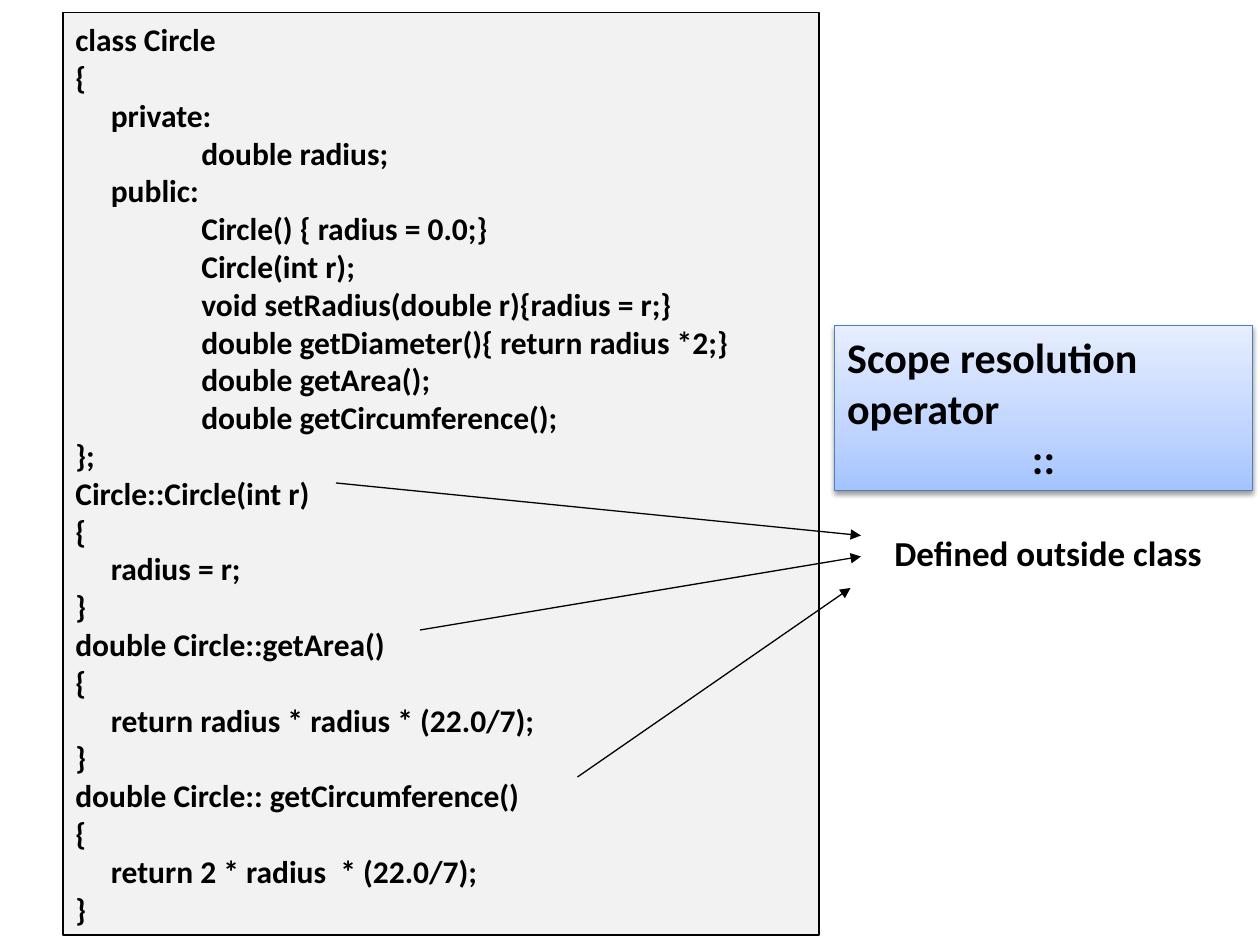
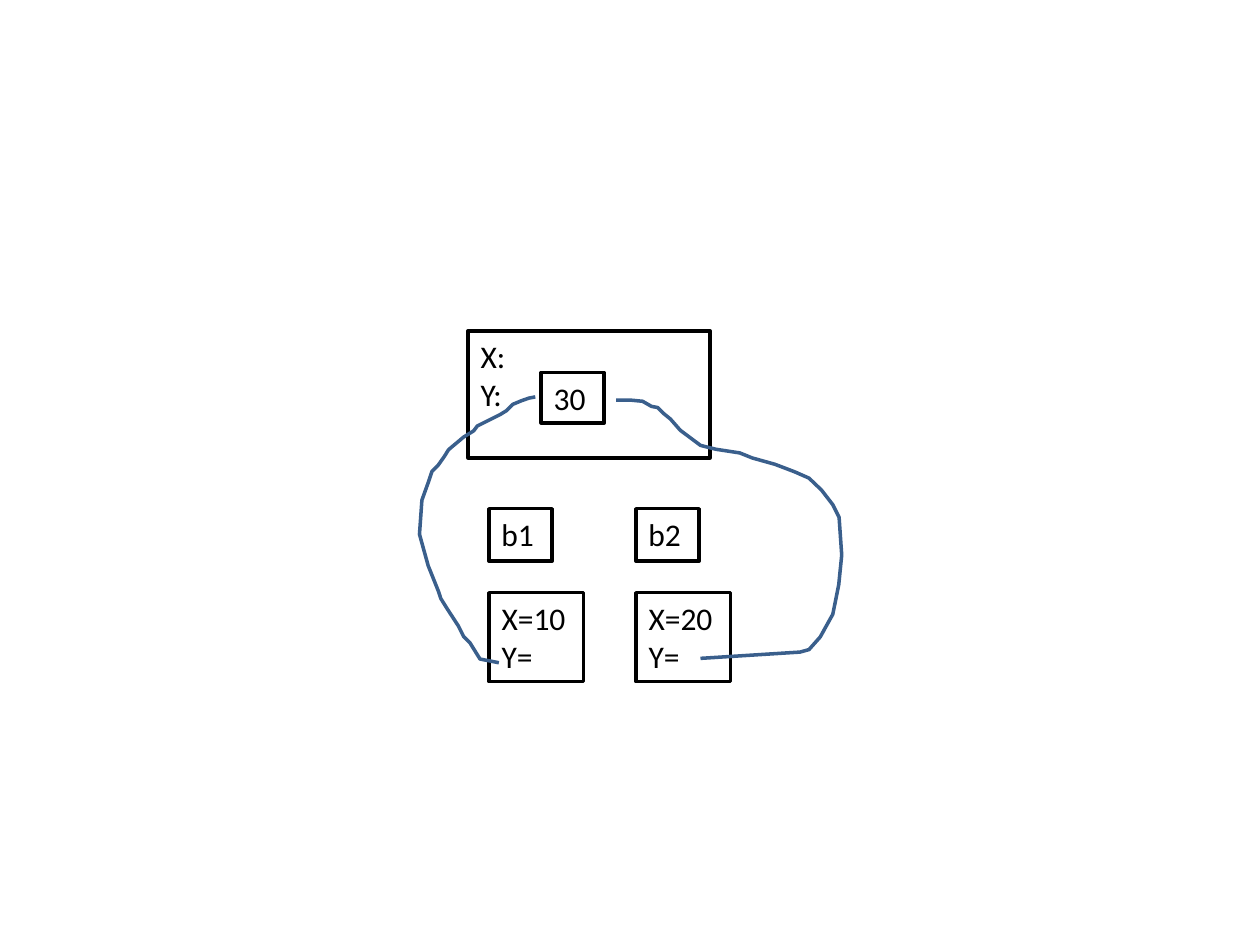
"""Build two slides on C++ scope resolution and on objects sharing a member."""
from copy import deepcopy

from lxml import etree
from pptx import Presentation
from pptx.dml.color import RGBColor
from pptx.enum import shapes, text
from pptx.oxml import ns
from pptx.util import Pt

BLACK = RGBColor(0x00, 0x00, 0x00)
WHITE = RGBColor(0xFF, 0xFF, 0xFF)
CODE_GREY = RGBColor(0xF2, 0xF2, 0xF2)
CURVE_BLUE = RGBColor(0x3A, 0x5F, 0x8C)
CALLOUT_EDGE = RGBColor(0x4B, 0x7E, 0xBC)
CALLOUT_STOPS = [
    (0, RGBColor(0xA4, 0xC4, 0xFF)),
    (0.35, RGBColor(0xBF, 0xD4, 0xFF)),
    (1, RGBColor(0xE6, 0xEE, 0xFF)),
]

FONT = "Calibri"
THIN, THICK = 0.75, 2
TAB_STOP = 72

CLASS_CODE = """class Circle
{
     private:
\tdouble radius;
     public:
\tCircle() { radius = 0.0;}
\tCircle(int r);
\tvoid setRadius(double r){radius = r;}
\tdouble getDiameter(){ return radius *2;}
\tdouble getArea();
\tdouble getCircumference();
};
Circle::Circle(int r)
{
     radius = r;
}
double Circle::getArea()
{
     return radius * radius * (22.0/7);
}
double Circle:: getCircumference()
{
     return 2 * radius  * (22.0/7);
}"""

LEFT_CURVE = [
    (45.4, 151.9), (34.6, 149.8), (28.8, 140.4), (25.2, 136.8), (22.3, 131),
    (15.8, 121), (12.2, 115.2), (10.8, 110.9), (5, 96.5), (0, 78.5), (1.4, 59),
    (5, 49), (7.2, 42.5), (10.8, 38.9), (14.4, 33.8), (16.6, 30.2), (25.2, 23),
    (31, 19.4), (33.1, 16.6), (38.9, 13.7), (46.1, 10.1), (49.7, 7.9),
    (53.3, 4.3), (58.3, 2.2), (62.6, 0.7), (66.2, 0),
]
RIGHT_CURVE = [
    (48.2, 147.6), (105.1, 144), (110.2, 142.6), (116.6, 135.4), (123.8, 122.4),
    (127.2, 105.5), (128.9, 88.6), (127.4, 67), (123.8, 59.8), (117.4, 51.5),
    (110.2, 44.6), (102, 41), (90.7, 36.7), (77.8, 33.1), (70.6, 30.2),
    (56.9, 28.1), (48.2, 25.9), (36.7, 17.3), (31, 10.8), (27.4, 7.9),
    (23.8, 4.3), (20.2, 3.6), (15.1, 0.7), (8, 0), (0, 0),
]


def apply_format(target, values):
    """Set each named attribute of the target."""
    for name, value in values.items():
        setattr(target, name, value)


def write_lines(shape, lines, size, bold=False, anchor=text.MSO_ANCHOR.TOP):
    """Write one left-aligned paragraph per line."""
    frame = shape.text_frame
    apply_format(frame, {"word_wrap": True, "vertical_anchor": anchor})
    for index, line in enumerate(lines):
        para = frame.add_paragraph() if index else frame.paragraphs[0]
        para.alignment = text.PP_ALIGN.LEFT
        if line.startswith("\t"):
            tabs = etree.SubElement(para._p.get_or_add_pPr(), ns.qn("a:tabLst"))
            etree.SubElement(tabs, ns.qn("a:tab"), pos=str(Pt(TAB_STOP)), algn="l")
        span = para.add_run()
        span.text = line
        apply_format(span.font, {"name": FONT, "size": Pt(size), "bold": bold})
        span.font.color.rgb = BLACK


def add_panel(page, box, fill, edge, weight):
    """Add a flat outlined rectangle."""
    panel = page.shapes.add_shape(shapes.MSO_SHAPE.RECTANGLE, *map(Pt, box))
    panel.shadow.inherit = False
    panel.fill.solid()
    panel.fill.fore_color.rgb = fill
    panel.line.color.rgb = edge
    panel.line.width = Pt(weight)
    return panel


def add_arrow(page, start, end):
    """Add a thin black line with a triangle at its end."""
    arrow = page.shapes.add_connector(
        shapes.MSO_CONNECTOR.STRAIGHT, *map(Pt, start + end))
    arrow.line.color.rgb = BLACK
    arrow.line.width = Pt(THIN)
    etree.SubElement(arrow.line._get_or_add_ln(), ns.qn("a:tailEnd"), type="triangle")
    etree.SubElement(arrow._element.spPr, ns.qn("a:effectLst"))


def add_curve(page, left, top, points):
    """Add an open blue outline through points relative to left and top."""
    start, *rest = [(Pt(left + x), Pt(top + y)) for x, y in points]
    builder = page.shapes.build_freeform(*start)
    builder.add_line_segments(rest, close=False)
    curve = builder.convert_to_shape()
    curve.shadow.inherit = False
    curve.fill.background()
    curve.line.color.rgb = CURVE_BLUE
    curve.line.width = Pt(THICK)


def add_callout(page, box):
    """Add the shaded box that names the operator."""
    callout = add_panel(page, box, WHITE, CALLOUT_EDGE, THIN)
    callout.fill.gradient()
    callout.fill.gradient_angle = 90
    stop_list = callout._element.spPr.find(".//" + ns.qn("a:gsLst"))
    stop_list.append(deepcopy(stop_list[-1]))
    for stop, (position, color) in zip(callout.fill.gradient_stops, CALLOUT_STOPS):
        stop.position = position
        stop.color.rgb = color
    shadow = etree.SubElement(
        callout._element.spPr.find(ns.qn("a:effectLst")), ns.qn("a:outerShdw"),
        blurRad=str(Pt(3.1)), dist=str(Pt(1.6)), dir="5400000", rotWithShape="0")
    tint = etree.SubElement(shadow, ns.qn("a:srgbClr"), val=str(BLACK))
    etree.SubElement(tint, ns.qn("a:alpha"), val="38000")
    write_lines(callout, ["Scope resolution operator", "::"], 24, True)
    callout.text_frame.paragraphs[1].alignment = text.PP_ALIGN.CENTER


def build_scope_slide(page, box):
    """Place the class listing in the box, and the notes beside it."""
    left, top, width, height = box
    right = left + width
    code = add_panel(page, box, CODE_GREY, BLACK, THIN)
    write_lines(code, CLASS_CODE.split("\n"), 18, True, text.MSO_ANCHOR.MIDDLE)
    for start, end in [((156, 268.8), (24, 298.8)),
                       ((204, 352.8), (24, 310.8)),
                       ((294, 436.8), (18, 328.8))]:
        add_arrow(page, (left + start[0], top + start[1]),
                  (right + end[0], top + end[1]))
    note = page.shapes.add_textbox(*map(Pt, (right + 36, top + 292.8, 204, 31.5)))
    write_lines(note, ["Defined outside class"], 20, True)
    add_callout(page, (right + 9, top + 178.8, 238.6, 94.3))


def build_objects_slide(page, box):
    """Place the class box, two objects below it and their links."""
    left, top, width, height = box
    parts = [((0, 0, width, height), ["X:", "Y:"]),
             ((41.8, 23.9, 36, 28.8), ["30"])]
    for index, (name, value) in enumerate([("b1", 10), ("b2", 20)]):
        column = 12 + 84 * index
        parts += [((column, 101.7, 36, 30), [name]),
                  ((column, 149.7, 54, 50.9), [f"X={value}", "Y="])]
    for (x, y, part_width, part_height), lines in parts:
        panel = add_panel(page, (left + x, top + y, part_width, part_height),
                          WHITE, BLACK, THICK)
        write_lines(panel, lines, 18)
    add_curve(page, left - 27.8, top + 37.8, LEFT_CURVE)
    add_curve(page, left + 84.6, top + 39.6, RIGHT_CURVE)


def main():
    """Build the deck and save it."""
    deck = Presentation()
    apply_format(deck, {"slide_width": Pt(720), "slide_height": Pt(540)})
    for build, box in [(build_scope_slide, (36, 7.2, 432, 527.1)),
                       (build_objects_slide, (267.5, 189, 138.2, 72.7))]:
        build(deck.slides.add_slide(deck.slide_layouts[6]), box)
    deck.save("out.pptx")


if __name__ == "__main__":
    main()
